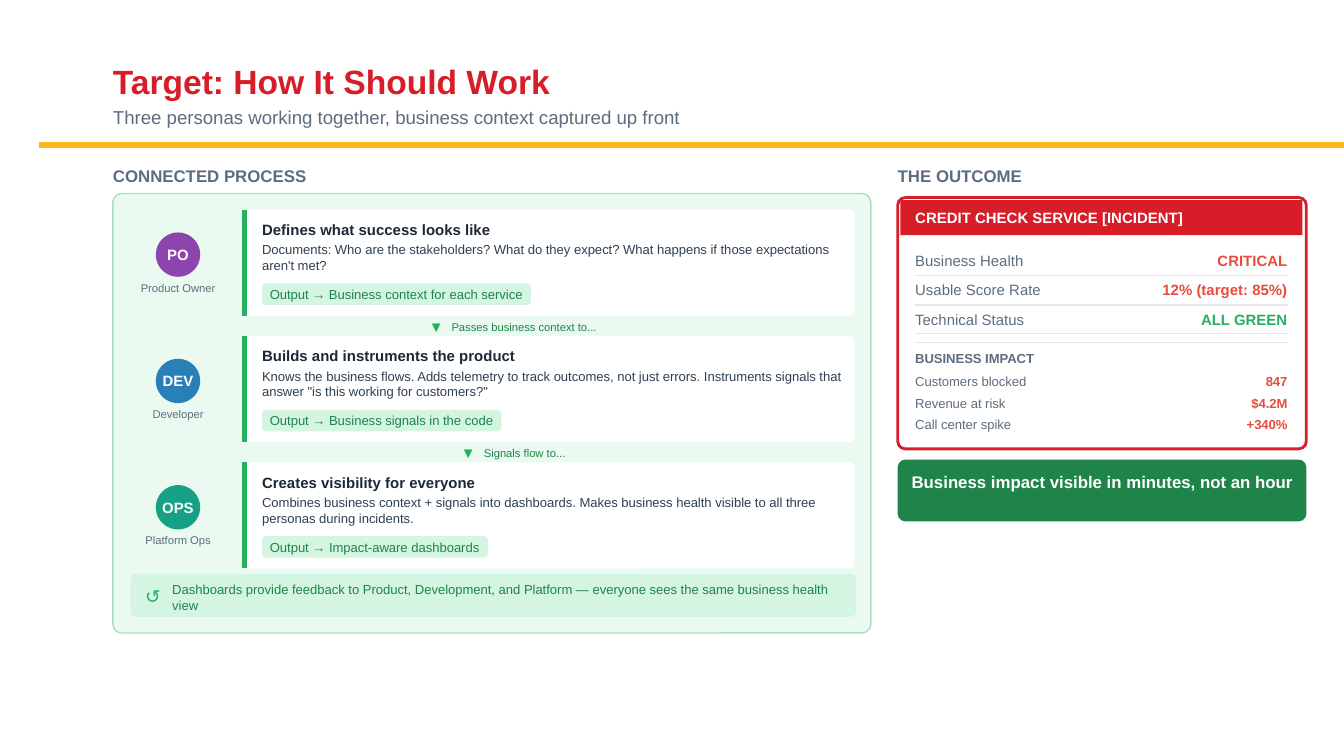
from lxml.etree import SubElement
from pptx import Presentation
from pptx.dml.color import RGBColor
from pptx.enum.shapes import MSO_CONNECTOR, MSO_SHAPE as SHAPE
from pptx.enum.text import MSO_ANCHOR as ANCHOR, MSO_AUTO_SIZE, PP_ALIGN as ALIGN
from pptx.oxml.ns import qn
from pptx.util import Pt

PX = 9144  # 100 px to the inch
rgb = RGBColor.from_string

RED, CORAL, YELLOW, WHITE = "D71E28", "E74C3C", "FFB81C", "FFFFFF"
GREEN, DARK_GREEN, PALE_GREEN, MINT = "27AE60", "1E8449", "D5F5E3", "EAFAF1"
SLATE, NAVY, INK, RULE = "5D6D7E", "2E4053", "1C2833", "E5E7EB"

prs = Presentation()
prs.slide_width = 1000 * PX
prs.slide_height = prs.slide_width * 9 // 16
slide = prs.slides.add_slide(prs.slide_layouts[5])
shapes = slide.shapes


def write(sp, text, size, color, bold=False, align=ALIGN.LEFT, anchor=ANCHOR.TOP,
          wrap=True, left=0, top=0, spacing=None):
    """Put one formatted run in a shape; left and top are insets in px."""
    tf = sp.text_frame
    tf.auto_size = MSO_AUTO_SIZE.NONE
    tf.word_wrap = wrap
    tf.vertical_anchor = anchor
    tf.margin_left, tf.margin_top = left * PX, top * PX
    tf.margin_right = tf.margin_bottom = 0
    p = tf.paragraphs[0]
    p.alignment = align
    if spacing:
        p.line_spacing = Pt(spacing)
    r = p.add_run()
    r.text = text
    r.font.name, r.font.size, r.font.bold = "Arial", Pt(size), bold
    r.font.color.rgb = rgb(color)


def add_box(x, y, w, h, fill=None, kind=SHAPE.ROUNDED_RECTANGLE, radius=None,
            line=None, width=0.75):
    """Add a filled shape, or a text box when there is no fill."""
    place = [n * PX for n in (x, y, w, h)]
    if fill is None:
        return shapes.add_textbox(*place)
    sp = shapes.add_shape(kind, *place)
    sp.shadow.inherit = False
    sp.fill.solid()
    sp.fill.fore_color.rgb = rgb(fill)
    if radius:
        sp.adjustments[0] = radius
    if line:
        sp.line.color.rgb = rgb(line)
        sp.line.width = Pt(width)
    else:
        sp.line.fill.background()
    return sp


# Header
title = shapes.title
title.left, title.top, title.width, title.height = 84 * PX, 45 * PX, 905 * PX, 29 * PX
write(title, "Target: How It Should Work", 18, RED, bold=True)
write(add_box(84, 79, 905, 16),
      "Three personas working together, business context captured up front", 10, SLATE)
lines = [(29, 108, 1027, 108, YELLOW, 3)]

for x, w, heading in [(84, 575, "CONNECTED PROCESS"), (668, 310, "THE OUTCOME")]:
    write(add_box(x, 123, w, 15), heading, 9, SLATE, bold=True)

# Connected process
add_box(84, 144, 564, 327, MINT, radius=0.02, line="A9DFBF")
personas = [
    ("PO", "Product Owner", "8E44AD", "Defines what success looks like",
     "Documents: Who are the stakeholders? What do they expect? "
     "What happens if those expectations aren't met?",
     "Output → Business context for each service", 200),
    ("DEV", "Developer", "2980B9", "Builds and instruments the product",
     "Knows the business flows. Adds telemetry to track outcomes, not just errors. "
     "Instruments signals that answer \"is this working for customers?\"",
     "Output → Business signals in the code", 178),
    ("OPS", "Platform Ops", "16A085", "Creates visibility for everyone",
     "Combines business context + signals into dashboards. "
     "Makes business health visible to all three personas during incidents.",
     "Output → Impact-aware dashboards", 168),
]
for i, (initials, role, color, heading, detail, output, chip_w) in enumerate(personas):
    y = 156 + 94 * i
    write(add_box(116, y + 17, 33, 33, color, SHAPE.OVAL), initials, 8, WHITE, bold=True,
          align=ALIGN.CENTER, anchor=ANCHOR.MIDDLE, wrap=False)
    write(add_box(97, y + 53, 71, 9), role, 6, SLATE, align=ALIGN.CENTER)
    add_box(180, y, 456, 79, WHITE, radius=0.05)
    lines.append((182, y, 182, y + 79, GREEN, 3))
    write(add_box(195, y + 8, 438, 12), heading, 8, INK, bold=True)
    write(add_box(195, y + 24, 438, 23), detail, 7, NAVY, spacing=8.4)
    write(add_box(195, y + 55, chip_w, 16, PALE_GREEN, radius=0.17), output, 7, DARK_GREEN,
          anchor=ANCHOR.MIDDLE, wrap=False, left=5)

handoffs = [(319, 110, "Passes business context to..."), (343, 62, "Signals flow to...")]
for i, (x, w, label) in enumerate(handoffs):
    y = 236 + 94 * i
    write(add_box(x, y, 11, 12), "▼", 8, GREEN, wrap=False)
    write(add_box(x + 17, y + 2, w, 9), label, 6, DARK_GREEN, wrap=False)

write(add_box(97, 427, 540, 32, PALE_GREEN, radius=0.13),
      "Dashboards provide feedback to Product, Development, and Platform — "
      "everyone sees the same business health view",
      7, DARK_GREEN, anchor=ANCHOR.MIDDLE, left=30, top=3)
write(add_box(108, 435, 12, 16), "↺", 10, GREEN, wrap=False)

# Outcome card
add_box(668, 147, 304, 187, WHITE, radius=0.03, line=RED, width=1.5)
write(add_box(670, 149, 299, 26, RED, SHAPE.RECTANGLE), "CREDIT CHECK SERVICE [INCIDENT]",
      8, WHITE, bold=True, anchor=ANCHOR.MIDDLE, left=11)
write(add_box(681, 261, 283, 10), "BUSINESS IMPACT", 7, SLATE, bold=True)
lines += [(681, y, 958, y, RULE, 0.75) for y in (205, 227, 248, 255)]

metrics = [
    (187, 8, "Business Health", "CRITICAL", CORAL),
    (209, 8, "Usable Score Rate", "12% (target: 85%)", CORAL),
    (231, 8, "Technical Status", "ALL GREEN", GREEN),
    (278, 7, "Customers blocked", "847", CORAL),
    (294, 7, "Revenue at risk", "$4.2M", CORAL),
    (310, 7, "Call center spike", "+340%", CORAL),
]
for y, size, label, value, color in metrics:
    write(add_box(681, y, 100, 12), label, size, SLATE)
    write(add_box(858, y, 100, 12), value, size, color, bold=True, align=ALIGN.RIGHT)

write(add_box(668, 342, 304, 46, DARK_GREEN, radius=0.12),
      "Business impact visible in minutes, not an hour", 9, WHITE, bold=True,
      align=ALIGN.CENTER, top=7)

# Rules and card edges
for x1, y1, x2, y2, color, width in lines:
    rule = shapes.add_connector(MSO_CONNECTOR.STRAIGHT, x1 * PX, y1 * PX, x2 * PX, y2 * PX)
    rule.line.color.rgb = rgb(color)
    rule.line.width = Pt(width)
    SubElement(rule._element.spPr, qn("a:effectLst"))

prs.save("out.pptx")
